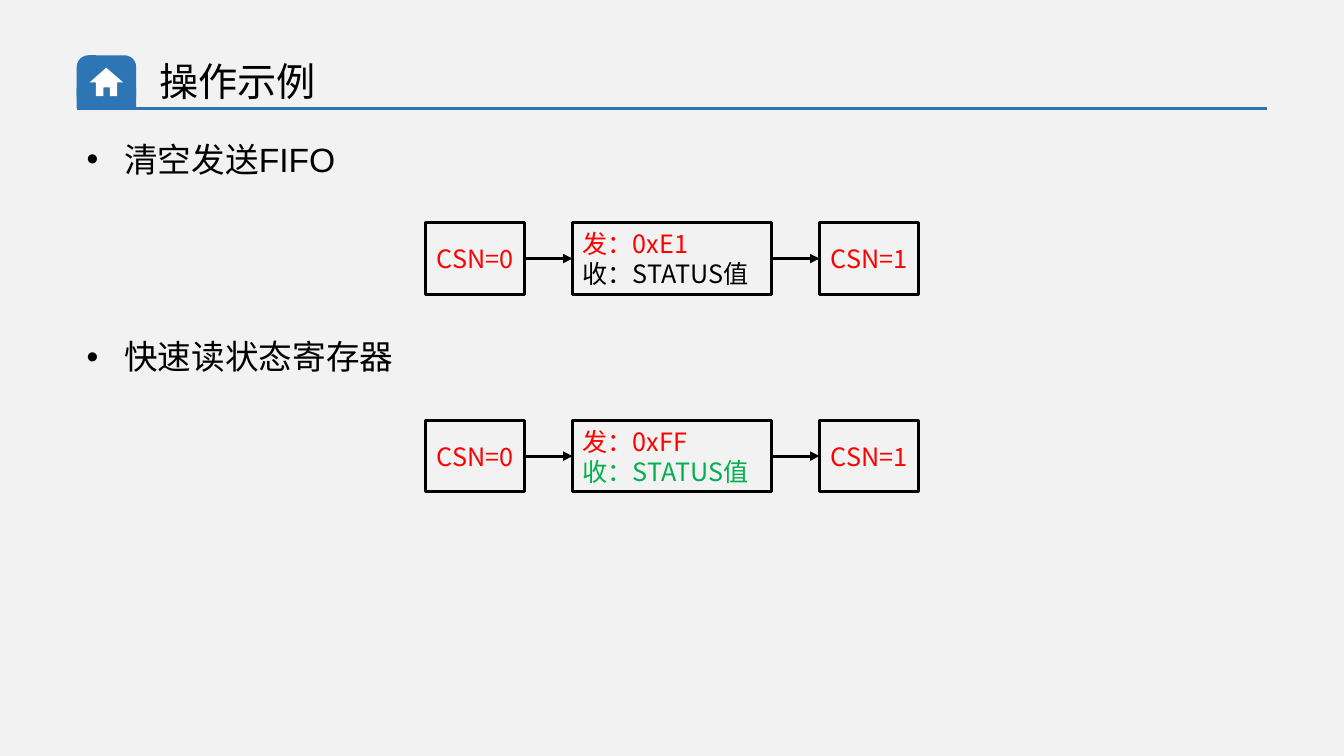
from pptx import Presentation
from pptx.dml.color import RGBColor
from pptx.enum.shapes import MSO_CONNECTOR as LINE, MSO_SHAPE as SHAPE
from pptx.enum.text import MSO_ANCHOR as ANCHOR, PP_ALIGN as ALIGN
from pptx.oxml.ns import qn
from pptx.util import Pt
from lxml.etree import SubElement

BLACK = RGBColor(0x00, 0x00, 0x00)
WHITE = RGBColor(0xFF, 0xFF, 0xFF)
RED = RGBColor(0xFF, 0x00, 0x00)
GREEN = RGBColor(0x00, 0xB0, 0x50)
BLUE = RGBColor(0x2E, 0x75, 0xB6)
GREY = RGBColor(0xF2, 0xF2, 0xF2)
CJK = "Noto Sans CJK SC"


def style_text(paragraph, size, color, latin=CJK):
    font = paragraph.font
    font.size, font.color.rgb, font.name = Pt(size), color, latin
    SubElement(font._element, qn("a:ea"), typeface=CJK)


def add_line(color, x1, y1, x2, y2):
    line = slide.shapes.add_connector(LINE.STRAIGHT, Pt(x1), Pt(y1), Pt(x2), Pt(y2))
    line.line.color.rgb, line.line.width = color, Pt(2.25)
    SubElement(line._element.spPr, qn("a:effectLst"))
    return line


deck = Presentation()
deck.slide_width, deck.slide_height = Pt(960), Pt(540)
slide = deck.slides.add_slide(deck.slide_layouts[6])
slide.background.fill.solid()
slide.background.fill.fore_color.rgb = GREY

title = slide.shapes.add_textbox(Pt(106.8), Pt(37.5), Pt(687), Pt(41)).text_frame
title.word_wrap = True
title.text = "操作示例"
style_text(title.paragraphs[0], 28, BLACK)

badge = slide.shapes.add_shape(SHAPE.ROUNDED_RECTANGLE, Pt(54.8), Pt(39.5), Pt(42.5), Pt(37))
badge.adjustments[0] = 0.226
add_line(BLUE, 54.8, 77.4, 905, 77.4)
badge_base = slide.shapes.add_shape(SHAPE.RECTANGLE, Pt(54.8), Pt(63), Pt(42.5), Pt(14.4))
house_outline = slide.shapes.build_freeform(Pt(83.6), Pt(58.9))
house_outline.add_line_segments(
    [(Pt(x), Pt(y)) for x, y in [
        (88, 58.9), (75.9, 48.4), (64, 58.9), (68.4, 58.9), (68.4, 68.6),
        (73.9, 68.6), (73.9, 62.5), (78.4, 62.5), (78.4, 68.6), (83.6, 68.6)]],
    close=True)
house = house_outline.convert_to_shape()
for part, color in [(badge, BLUE), (badge_base, BLUE), (house, WHITE)]:
    part.shadow.inherit = False
    part.fill.solid()
    part.fill.fore_color.rgb = color
    part.line.fill.background()

examples = [
    ("清空发送FIFO", "发：0xE1", BLACK),
    ("快速读状态寄存器", "发：0xFF", GREEN),
]
for row, (heading, sent, received_color) in enumerate(examples):
    top = 95.6 + 141.1 * row
    bullet = slide.shapes.add_textbox(Pt(54.8), Pt(top), Pt(850.4), Pt(36)).text_frame
    bullet.word_wrap = True
    bullet.text = heading
    item = bullet.paragraphs[0]
    item.space_after = Pt(12)
    props = item._p.get_or_add_pPr()
    props.set("marL", str(Pt(27)))
    props.set("indent", str(-Pt(27)))
    SubElement(props, qn("a:buFont"), typeface="Arial")
    SubElement(props, qn("a:buChar"), char="•")
    style_text(item, 24, BLACK, "Arial")

    steps = [
        (304, 70.8, ALIGN.CENTER, [("CSN=0", RED)]),
        (409, 142, ALIGN.LEFT, [(sent, RED), ("收：STATUS值", received_color)]),
        (585.4, 70.8, ALIGN.CENTER, [("CSN=1", RED)]),
    ]
    previous = None
    for left, width, align, lines in steps:
        step = slide.shapes.add_shape(
            SHAPE.RECTANGLE, Pt(left), Pt(top + 63.6), Pt(width), Pt(51))
        step.shadow.inherit = False
        step.fill.background()
        step.line.color.rgb, step.line.width = BLACK, Pt(2.25)
        frame = step.text_frame
        frame.vertical_anchor = ANCHOR.MIDDLE
        frame.text = "\n".join(text for text, color in lines)
        for paragraph, (text, color) in zip(frame.paragraphs, lines):
            paragraph.alignment = align
            style_text(paragraph, 18, color)
        if previous is not None:
            arrow = add_line(BLACK, 0, 0, 0, 0)
            arrow.begin_connect(previous, 3)
            arrow.end_connect(step, 1)
            SubElement(arrow.line._get_or_add_ln(), qn("a:tailEnd"), type="triangle")
        previous = step

deck.save("out.pptx")
